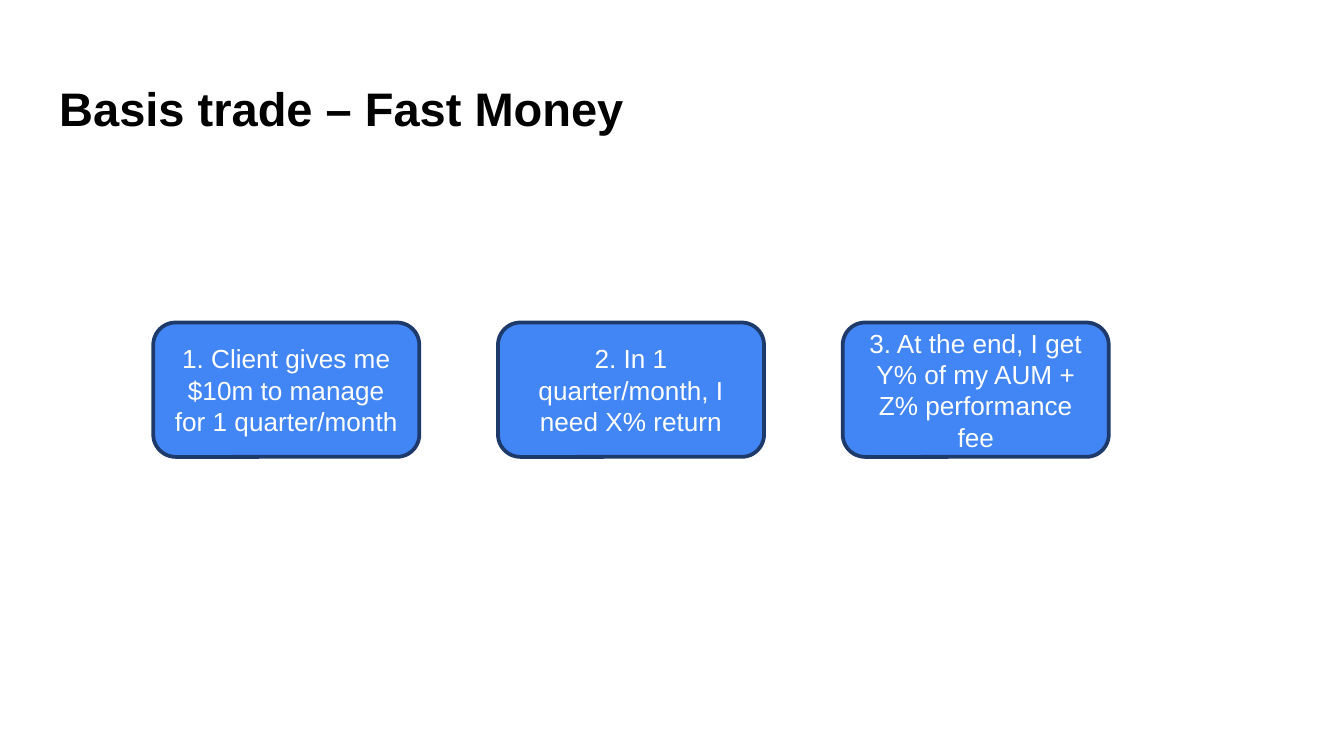
from dataclasses import dataclass

from pptx import Presentation, util as u
from pptx.dml.color import RGBColor
from pptx.enum import shapes, text

BLACK = RGBColor(0x00, 0x00, 0x00)
WHITE = RGBColor(0xFF, 0xFF, 0xFF)
BLUE = RGBColor(0x42, 0x85, 0xF4)
NAVY = RGBColor(0x1D, 0x3A, 0x6B)
FONT = "Arial"

SLIDE_WIDTH = 10
SLIDE_HEIGHT = SLIDE_WIDTH * 9 / 16
FIRST_LEFT, LAST_LEFT, STEP_TOP = 1.14, 6.27, 2.4
STEP_WIDTH, STEP_HEIGHT = 1.98, 1


@dataclass(frozen=True)
class Step:
    column: int
    label: str


STEPS = [
    Step(0, "1. Client gives me $10m to manage for 1 quarter/month"),
    Step(1, "2. In 1 quarter/month, I need X% return"),
    Step(2, "3. At the end, I get Y% of my AUM + Z% performance fee"),
]
COLUMN_PITCH = (LAST_LEFT - FIRST_LEFT) / (len(STEPS) - 1)


def style_text(frame, size: float, color: RGBColor, align, bold: bool = False) -> None:
    frame.word_wrap = True
    for paragraph in frame.paragraphs:
        paragraph.alignment = align
        for run in paragraph.runs:
            run.font.name = FONT
            run.font.size = u.Pt(size)
            run.font.bold = bold
            run.font.color.rgb = color


def draw_title(slide, wording: str) -> None:
    heading = slide.shapes.title
    heading.left, heading.top = u.Inches(0.34), u.Inches(0.49)
    heading.width, heading.height = u.Inches(9.32), u.Inches(0.63)
    frame = heading.text_frame
    frame.text = wording
    frame.margin_left = frame.margin_right = u.Inches(0.1)
    frame.margin_top = frame.margin_bottom = u.Inches(0.1)
    frame.vertical_anchor = text.MSO_ANCHOR.TOP
    frame.auto_size = text.MSO_AUTO_SIZE.NONE
    style_text(frame, 25.2, BLACK, text.PP_ALIGN.LEFT, bold=True)


def draw_step(slide, step: Step) -> None:
    card = slide.shapes.add_shape(
        shapes.MSO_SHAPE.ROUNDED_RECTANGLE,
        u.Inches(FIRST_LEFT + step.column * COLUMN_PITCH),
        u.Inches(STEP_TOP),
        u.Inches(STEP_WIDTH),
        u.Inches(STEP_HEIGHT),
    )
    card.shadow.inherit = False
    card.fill.solid()
    card.fill.fore_color.rgb = BLUE
    card.line.color.rgb = NAVY
    card.line.width = u.Pt(2)
    card.text_frame.text = step.label
    card.text_frame.vertical_anchor = text.MSO_ANCHOR.MIDDLE
    style_text(card.text_frame, 14, WHITE, text.PP_ALIGN.CENTER)


def main() -> None:
    deck = Presentation()
    deck.slide_width = u.Inches(SLIDE_WIDTH)
    deck.slide_height = u.Inches(SLIDE_HEIGHT)
    slide = deck.slides.add_slide(deck.slide_layouts.get_by_name("Title Only"))
    slide.background.fill.solid()
    slide.background.fill.fore_color.rgb = WHITE
    draw_title(slide, "Basis trade – Fast Money")
    for step in STEPS:
        draw_step(slide, step)
    deck.save("out.pptx")


if __name__ == "__main__":
    main()
